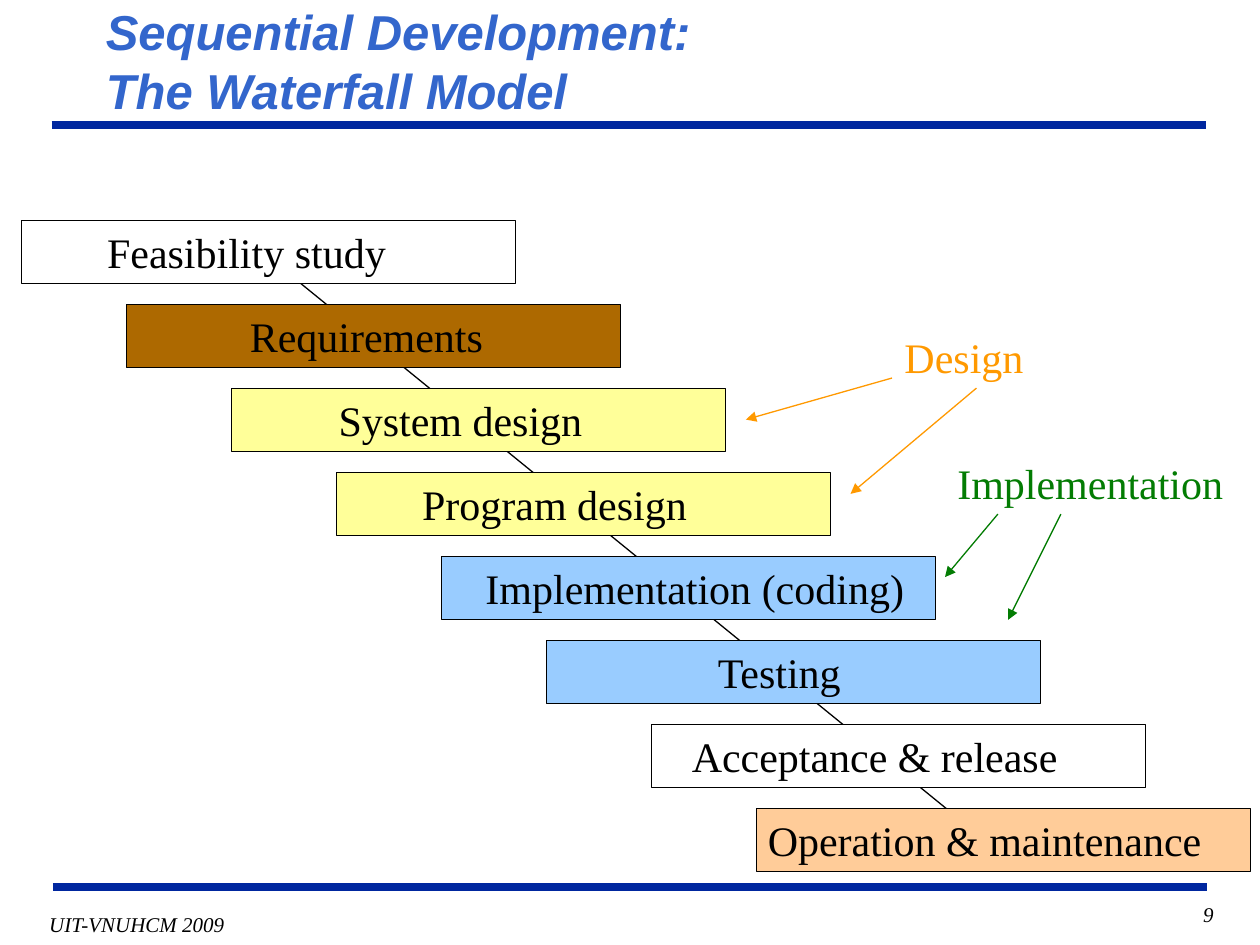
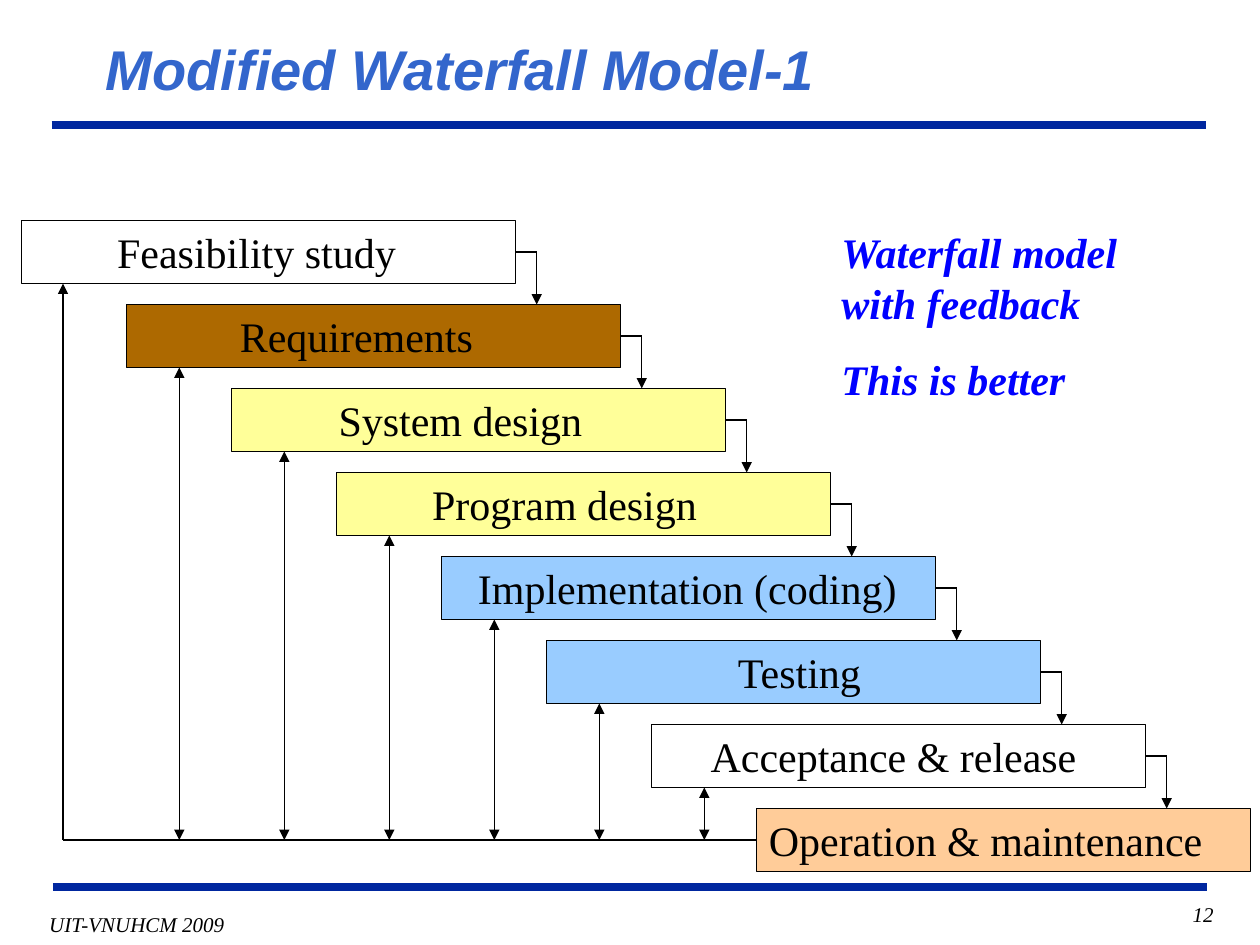
"""Build two slides on the waterfall model of software development."""
from dataclasses import dataclass

from lxml.etree import SubElement
from pptx import Presentation
from pptx.dml.color import RGBColor
from pptx.enum.shapes import MSO_CONNECTOR, MSO_SHAPE
from pptx.enum.text import MSO_ANCHOR, MSO_AUTO_SIZE, PP_ALIGN
from pptx.oxml.ns import qn
from pptx.util import Inches, Pt


@dataclass(frozen=True)
class Theme:
    """Colours, fonts and sizes that both slides share."""
    title: str = "3366CC"
    band: str = "00279F"
    ink: str = "000000"
    white: str = "FFFFFF"
    brown: str = "AD6900"
    yellow: str = "FFFF99"
    sky: str = "99CCFF"
    peach: str = "FFCC99"
    orange: str = "FF9900"
    green: str = "037C03"
    remark: str = "0000FF"
    heading_font: str = "Arial"
    body_font: str = "Times New Roman"
    body_size: int = 24
    footer_size: int = 12
    thin: float = 0.75
    thick: float = 4.5


THEME = Theme()

FOOTER = "UIT-VNUHCM 2009"
BANDS = [((0.41, 0.99), (9.57, 0.99)), ((0.42, 7.04), (9.58, 7.04))]

PHASES = [
    ("Feasibility study", THEME.white),
    ("Requirements", THEME.brown),
    ("System design", THEME.yellow),
    ("Program design", THEME.yellow),
    ("Implementation (coding)", THEME.sky),
    ("Testing", THEME.sky),
    ("Acceptance & release", THEME.white),
    ("Operation & maintenance", THEME.peach),
]

SEQUENTIAL = {
    "title": "Sequential Development:\vThe Waterfall Model",
    "title_size": 28,
    "title_height": 0.99,
    "number": "9",
    "indents": [0.68, 0.98, 0.85, 0.68, 0.35, 1.36, 0.32, 0.09],
}
MODIFIED = {
    "title": "Modified Waterfall Model-1",
    "title_size": 32,
    "title_height": 0.85,
    "number": "12",
    "indents": [0.76, 0.9, 0.85, 0.76, 0.29, 1.52, 0.47, 0.1],
}

STAGES = [
    ("Design", THEME.orange, (7.08, 2.58, 1.42, 0.5),
     [((7.75, 3.08), (6.75, 3.92)), ((7.08, 3), (5.92, 3.33))]),
    ("Implementation", THEME.green, (7.5, 3.58, 2.33, 0.5),
     [((7.92, 4.08), (7.5, 4.58)), ((8.42, 4.08), (8, 4.92))]),
]
REMARKS = ["Waterfall model with feedback", "This is better"]

PHASE_WIDTH, PHASE_HEIGHT = 3.92, 0.5
FIRST_LEFT, FIRST_TOP = 0.17, 1.75
STEP_RIGHT, STEP_DOWN = 5 / 6, 2 / 3
ELBOW_REACH = 0.17
FEEDBACK_INSET, FIRST_FEEDBACK_INSET = 0.42, 0.33


def colour(code):
    """Turn a hex code into a colour."""
    return RGBColor.from_string(code)


def write(frame, *paragraphs, size=THEME.body_size, font=THEME.body_font, ink=THEME.ink,
          bold=False, italic=False, align=PP_ALIGN.LEFT, gap=0, anchor=MSO_ANCHOR.TOP,
          margins=(0.1, 0.05, 0.1, 0.05)):
    """Fill a text frame with paragraphs in one format."""
    frame.word_wrap = True
    frame.auto_size = MSO_AUTO_SIZE.NONE
    frame.vertical_anchor = anchor
    (frame.margin_left, frame.margin_top,
     frame.margin_right, frame.margin_bottom) = map(Inches, margins)
    for position, text in enumerate(paragraphs):
        paragraph = frame.add_paragraph() if position else frame.paragraphs[0]
        paragraph.text = text
        paragraph.alignment = align
        paragraph.space_before = Pt(gap if position else 0)
        paragraph.font.size = Pt(size)
        paragraph.font.name = font
        paragraph.font.bold = bold
        paragraph.font.italic = italic
        paragraph.font.color.rgb = colour(ink)


def add_label(slide, box, *paragraphs, **style):
    """Add a text box at left, top, width, height."""
    write(slide.shapes.add_textbox(*map(Inches, box)).text_frame, *paragraphs, **style)


def add_line(slide, start, end, ink=THEME.ink, width=THEME.thin, arrows=()):
    """Draw a straight line with arrowheads at the named ends."""
    line = slide.shapes.add_connector(MSO_CONNECTOR.STRAIGHT, *map(Inches, (*start, *end)))
    line.line.color.rgb = colour(ink)
    line.line.width = Pt(width)
    outline = line.line._get_or_add_ln()
    for arrow in arrows:
        SubElement(outline, qn(f"a:{arrow}"), type="triangle")
    SubElement(line._element.spPr, qn("a:effectLst"))


def phase_corner(step):
    """Return the left and top of a phase on the staircase."""
    return FIRST_LEFT + step * STEP_RIGHT, FIRST_TOP + step * STEP_DOWN


def add_phases(slide, indents):
    """Draw the staircase of phases."""
    for step, ((phase, fill), indent) in enumerate(zip(PHASES, indents)):
        box = (*phase_corner(step), PHASE_WIDTH, PHASE_HEIGHT)
        bar = slide.shapes.add_shape(MSO_SHAPE.RECTANGLE, *map(Inches, box))
        bar.shadow.inherit = False
        bar.fill.solid()
        bar.fill.fore_color.rgb = colour(fill)
        bar.line.color.rgb = colour(THEME.ink)
        bar.line.width = Pt(THEME.thin)
        write(bar.text_frame, phase, margins=(indent, 0.05, 0, 0.05))


def add_handovers(slide):
    """Draw a bent arrow from each phase down to the next."""
    for step in range(len(PHASES) - 1):
        left, top = phase_corner(step)
        right, middle = left + PHASE_WIDTH, top + PHASE_HEIGHT / 2
        bend = right + ELBOW_REACH
        add_line(slide, (right, middle), (bend, middle))
        add_line(slide, (bend, middle), (bend, top + STEP_DOWN), arrows=["tailEnd"])


def add_feedback(slide):
    """Draw the return line from the last phase to every earlier one."""
    last_left, last_top = phase_corner(len(PHASES) - 1)
    level = last_top + PHASE_HEIGHT / 2
    start = FIRST_LEFT + FIRST_FEEDBACK_INSET
    add_line(slide, (last_left, level), (start, level))
    add_line(slide, (start, level), (start, FIRST_TOP + PHASE_HEIGHT), arrows=["tailEnd"])
    for step in range(1, len(PHASES) - 1):
        left, top = phase_corner(step)
        rise = left + FEEDBACK_INSET
        add_line(slide, (rise, top + PHASE_HEIGHT), (rise, level), arrows=["headEnd", "tailEnd"])


def start_slide(deck, content):
    """Add a slide with its title, bands, footer and number."""
    slide = deck.slides.add_slide(deck.slide_layouts[5])
    title = slide.shapes.title
    title.left, title.top, title.width, title.height = map(
        Inches, (0.75, 0, 8.5, content["title_height"]))
    write(title.text_frame, content["title"], size=content["title_size"],
          font=THEME.heading_font, ink=THEME.title, bold=True, italic=True,
          anchor=MSO_ANCHOR.BOTTOM, margins=(0.09, 0.04, 0.09, 0.04))
    for start, end in BANDS:
        add_line(slide, start, end, ink=THEME.band, width=THEME.thick)
    small = {"size": THEME.footer_size, "italic": True}
    add_label(slide, (0.29, 7.19, 1.59, 0.29), FOOTER, align=PP_ALIGN.CENTER,
              margins=(0.05, 0.04, 0.05, 0.04), **small)
    add_label(slide, (8.48, 7.11, 1.25, 0.33), content["number"], align=PP_ALIGN.RIGHT, **small)
    return slide


def build_sequential(deck):
    """Build the plain waterfall slide."""
    slide = start_slide(deck, SEQUENTIAL)
    add_line(slide, (2.08, 2), (7.92, 6.75))
    add_phases(slide, SEQUENTIAL["indents"])
    for stage, ink, box, pointers in STAGES:
        add_label(slide, box, stage, ink=ink)
        for start, end in pointers:
            add_line(slide, start, end, ink=ink, arrows=["tailEnd"])


def build_modified(deck):
    """Build the waterfall slide with feedback."""
    slide = start_slide(deck, MODIFIED)
    add_phases(slide, MODIFIED["indents"])
    add_handovers(slide)
    add_feedback(slide)
    add_label(slide, (6.58, 1.75, 2.92, 1.51), *REMARKS, ink=THEME.remark,
              bold=True, italic=True, gap=15)


def main():
    """Build and save the deck."""
    deck = Presentation()
    deck.slide_width, deck.slide_height = Inches(10), Inches(7.5)
    build_sequential(deck)
    build_modified(deck)
    deck.save("out.pptx")


if __name__ == "__main__":
    main()
